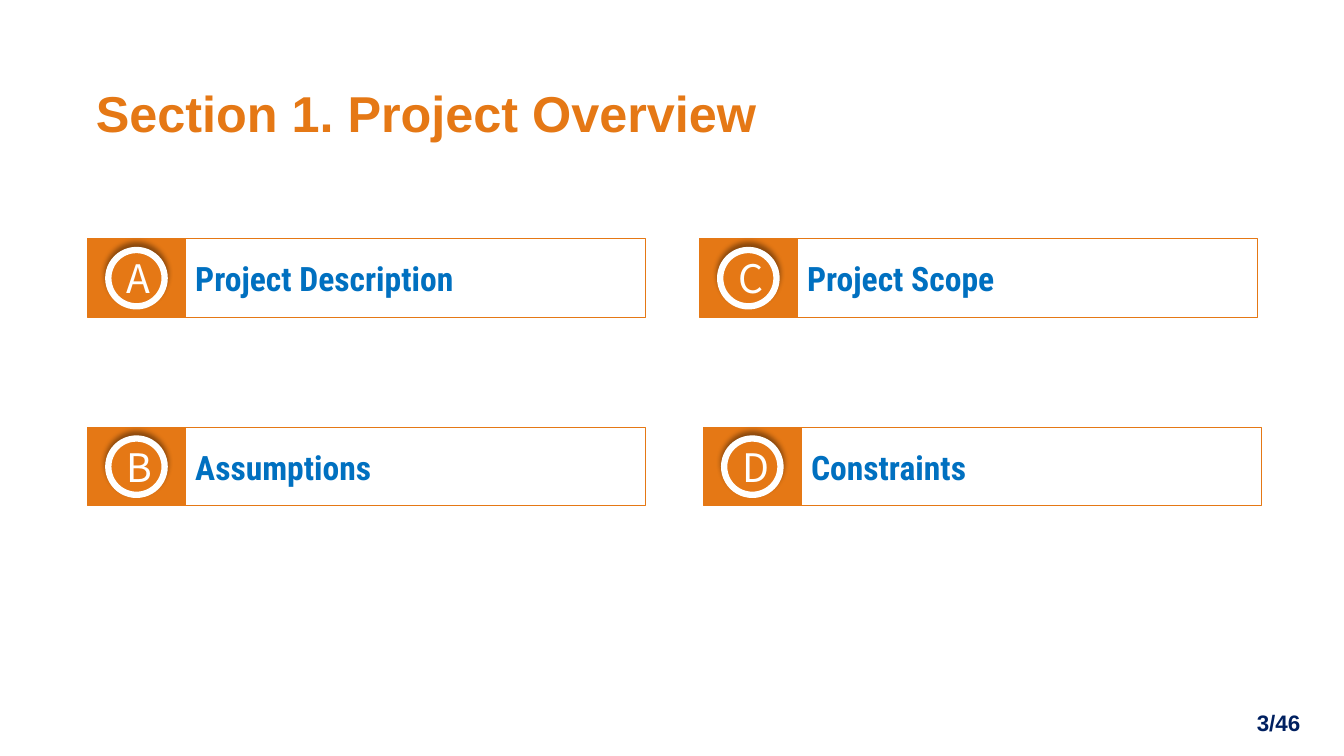
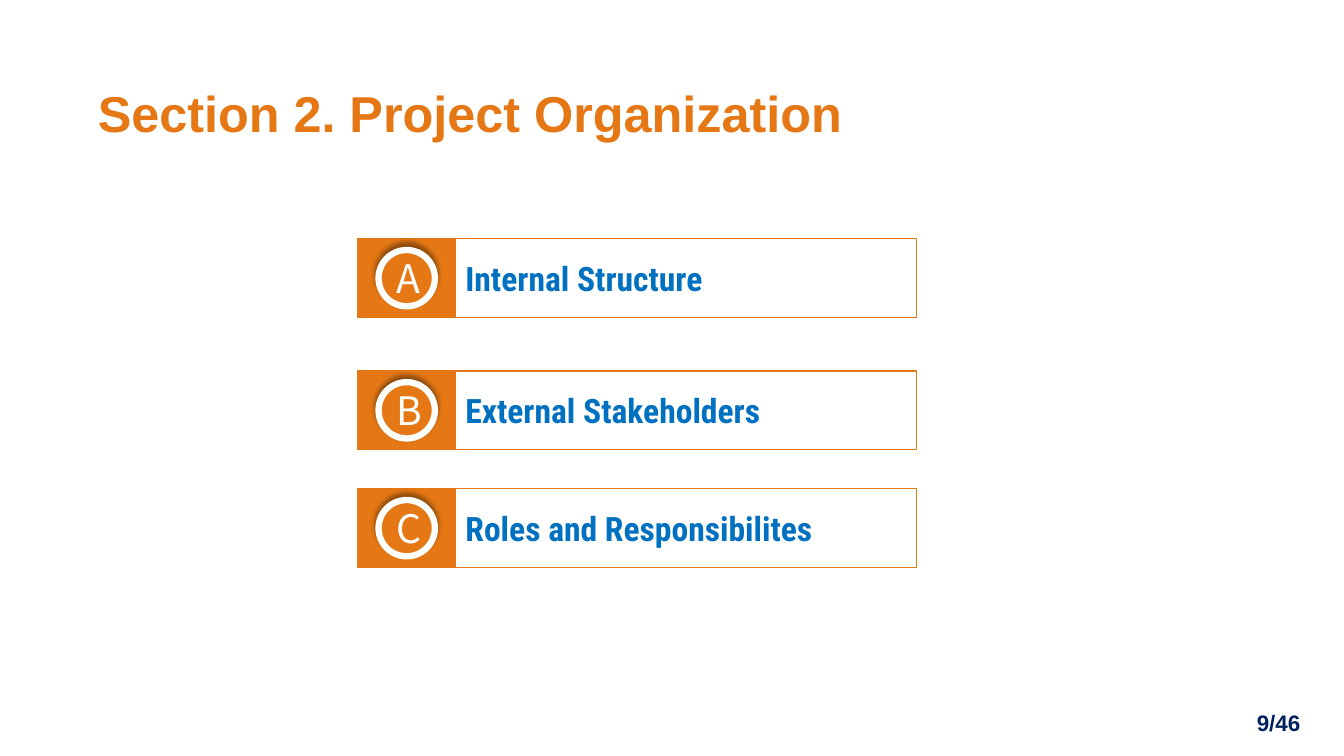
from dataclasses import dataclass

from lxml.etree import SubElement
from pptx import Presentation
from pptx.dml.color import RGBColor
from pptx.enum.shapes import MSO_SHAPE
from pptx.enum.text import MSO_ANCHOR, MSO_AUTO_SIZE, PP_ALIGN
from pptx.oxml.ns import qn
from pptx.util import Cm, Pt


@dataclass(frozen=True)
class Theme:
    accent: str = "E57815"
    label: str = "0070C0"
    page: str = "002060"
    light: str = "FFFFFE"
    title_font: str = "Arial"
    label_font: str = "Roboto Condensed"
    letter_font: str = "Noto Sans CJK SC"
    title_size: int = 36
    letter_size: int = 28
    label_size: int = 24
    page_size: int = 16
    border: float = 0.75
    ring: float = 4.5


THEME = Theme()
TITLE_ONLY = 5
PAGE_COUNT = 46

# Agenda item dimensions in cm
BADGE_W, LABEL_W, ITEM_H, CIRCLE = 2.46, 11.61, 1.98, 1.42

# Section, title left edge, page, and (letter, label, left, top) items in cm
SECTIONS = [
    ("Section 1. Project Overview", 2.16, 3, [
        ("A", "Project Description", 2.21, 6.02),
        ("B", "Assumptions", 2.21, 10.77),
        ("C", "Project Scope", 17.63, 6.02),
        ("D", "Constraints", 17.73, 10.77),
    ]),
    ("Section 2. Project Organization", 2.21, 9, [
        ("A", "Internal Structure", 9.02, 6.02),
        ("B", "External Stakeholders", 9.02, 9.35),
        ("C", "Roles and Responsibilites", 9.02, 12.32),
    ]),
]


def set_text(sp, text, font, size, color, bold=True, align=PP_ALIGN.LEFT,
             anchor=MSO_ANCHOR.MIDDLE):
    tf = sp.text_frame
    tf.text = text
    tf.word_wrap = True
    tf.auto_size = MSO_AUTO_SIZE.NONE
    tf.vertical_anchor = anchor
    p = tf.paragraphs[0]
    p.alignment = align
    f = p.runs[0].font
    f.name, f.size, f.bold = font, Pt(size), bold
    f.color.rgb = RGBColor.from_string(color)
    # East Asian and Latin text share one typeface
    SubElement(p.runs[0].font._element, qn("a:ea"), typeface=font)
    return p


def add_box(slide, kind, left, top, width, height, fill=None,
            line=THEME.accent, weight=THEME.border):
    sp = slide.shapes.add_shape(kind, Cm(left), Cm(top), Cm(width), Cm(height))
    sp.shadow.inherit = False
    if fill:
        sp.fill.solid()
        sp.fill.fore_color.rgb = RGBColor.from_string(fill)
    else:
        sp.fill.background()
    sp.line.color.rgb = RGBColor.from_string(line)
    sp.line.width = Pt(weight)
    return sp


def add_upward_shadow(sp):
    effects = sp._element.spPr.find(qn("a:effectLst"))
    shadow = SubElement(effects, qn("a:outerShdw"), blurRad=str(Pt(4)),
                        dist=str(Pt(3)), dir="16200000", rotWithShape="0")
    color = SubElement(shadow, qn("a:srgbClr"), val="000000")
    SubElement(color, qn("a:alpha"), val="40000")


def add_item(slide, letter, label, left, top):
    # Badge
    add_box(slide, MSO_SHAPE.RECTANGLE, left, top, BADGE_W, ITEM_H, THEME.accent)
    # Lettered circle, centred in the badge
    circle = add_box(slide, MSO_SHAPE.OVAL, left + (BADGE_W - CIRCLE) / 2,
                     top + (ITEM_H - CIRCLE) / 2, CIRCLE, CIRCLE,
                     THEME.accent, THEME.light, THEME.ring)
    add_upward_shadow(circle)
    set_text(circle, letter, THEME.letter_font, THEME.letter_size, THEME.light,
             bold=False, align=PP_ALIGN.CENTER)
    # Label
    box = add_box(slide, MSO_SHAPE.RECTANGLE, left + BADGE_W, top, LABEL_W, ITEM_H)
    set_text(box, label, THEME.label_font, THEME.label_size, THEME.label)


def add_title(slide, text, left):
    sp = slide.shapes.title
    sp.left, sp.top, sp.width, sp.height = Cm(left), Cm(2.11), Cm(24.18), Cm(2.36)
    p = set_text(sp, text, THEME.title_font, THEME.title_size, THEME.accent,
                 anchor=MSO_ANCHOR.TOP)
    p.line_spacing = 0.9


def add_page_number(slide, page):
    sp = slide.shapes.add_textbox(Cm(21.59), Cm(17.7), Cm(11.43), Cm(1.02))
    set_text(sp, f"{page}/{PAGE_COUNT}", THEME.title_font, THEME.page_size,
             THEME.page, align=PP_ALIGN.RIGHT)


def add_section(prs, title, title_left, page, items):
    slide = prs.slides.add_slide(prs.slide_layouts[TITLE_ONLY])
    add_title(slide, title, title_left)
    for item in items:
        add_item(slide, *item)
    add_page_number(slide, page)


def main():
    prs = Presentation()
    prs.slide_width, prs.slide_height = Cm(33.87), Cm(19.05)
    for section in SECTIONS:
        add_section(prs, *section)
    prs.save("out.pptx")


if __name__ == "__main__":
    main()
